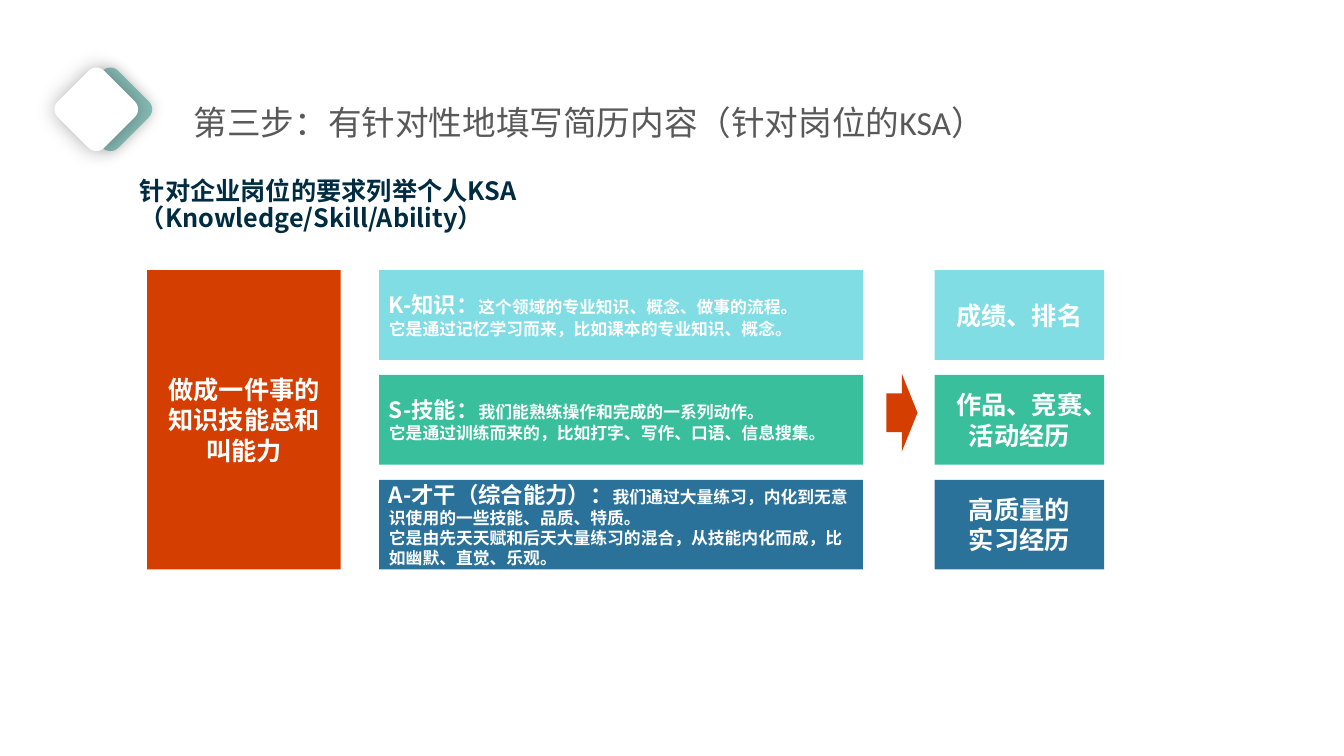
from dataclasses import dataclass
from typing import Optional

from lxml import etree
from pptx import Presentation
from pptx.dml.color import RGBColor
from pptx.enum.shapes import MSO_SHAPE
from pptx.enum.text import MSO_ANCHOR, MSO_AUTO_SIZE, PP_ALIGN
from pptx.oxml.ns import qn
from pptx.util import Inches, Pt

RECTANGLE = MSO_SHAPE.RECTANGLE
ROUNDED = MSO_SHAPE.ROUNDED_RECTANGLE
RIGHT_ARROW = MSO_SHAPE.RIGHT_ARROW
LEFT, CENTER = PP_ALIGN.LEFT, PP_ALIGN.CENTER
TOP, MIDDLE = MSO_ANCHOR.TOP, MSO_ANCHOR.MIDDLE


@dataclass(frozen=True)
class Theme:
    heading_font: str = "Calibri"
    body_font: str = "Noto Sans CJK SC"
    heading: str = "595959"
    subheading: str = "002C42"
    white: str = "FFFFFF"
    badge: str = "86BAB4"
    accent: str = "D43E00"
    title_size: int = 24
    label_size: int = 18
    term_size: int = 16
    detail_size: int = 12


@dataclass(frozen=True)
class Box:
    left: float
    top: float
    width: float
    height: float


@dataclass(frozen=True)
class Column:
    left: float
    width: float


@dataclass(frozen=True)
class Ability:
    color: str
    term: str
    meaning: str
    origin: str
    evidence: tuple[str, ...]


@dataclass(frozen=True)
class Diamond:
    left: float
    color: str
    shadow_blur: int
    shadow_opacity: int


THEME = Theme()

# Grid: three columns, three equal rows
SUMMARY, DEFINITION, EVIDENCE = Column(1.46, 1.92), Column(3.76, 4.8), Column(9.27, 1.68)
ROW_TOP, ROW_HEIGHT, ROW_PITCH = 2.68, 0.89, 1.04

ABILITIES = (
    Ability("80DDE4", "K-知识：", "这个领域的专业知识、概念、做事的流程。",
            "它是通过记忆学习而来，比如课本的专业知识、概念。", ("成绩、排名",)),
    Ability("3ABF9C", "S-技能：", "我们能熟练操作和完成的一系列动作。",
            "它是通过训练而来的，比如打字、写作、口语、信息搜集。", ("作品、竞赛、活动经历",)),
    Ability("2B729A", "A-才干（综合能力）：", "我们通过大量练习，内化到无意识使用的一些技能、品质、特质。",
            "它是由先天天赋和后天大量练习的混合，从技能内化而成，比如幽默、直觉、乐观。",
            ("高质量的", "实习经历")),
)
DIAMONDS = (Diamond(0.77, THEME.badge, 10, 20), Diamond(0.63, THEME.white, 15, 30))


def grid_box(column: Column, row: int, span: int = 1) -> Box:
    height = ROW_HEIGHT + (span - 1) * ROW_PITCH
    return Box(column.left, ROW_TOP + row * ROW_PITCH, column.width, height)


def place(shape, box: Box) -> None:
    shape.left, shape.top = Inches(box.left), Inches(box.top)
    shape.width, shape.height = Inches(box.width), Inches(box.height)


def style_paragraph(paragraph, size: int, color: str, bold: bool = True,
                    font_name: str = THEME.body_font, align=LEFT,
                    spacing: Optional[float] = None) -> None:
    paragraph.alignment = align
    paragraph.line_spacing = spacing
    font = paragraph.font
    font.name, font.size, font.bold = font_name, Pt(size), bold
    font.color.rgb = RGBColor.from_string(color)


def add_block(slide, preset, box: Box, color: str):
    shape = slide.shapes.add_shape(
        preset, Inches(box.left), Inches(box.top), Inches(box.width), Inches(box.height))
    shape.shadow.inherit = False
    shape.fill.solid()
    shape.fill.fore_color.rgb = RGBColor.from_string(color)
    shape.line.fill.background()
    shape.text_frame.word_wrap = True
    shape.text_frame.vertical_anchor = MIDDLE
    return shape


def add_label(slide, box: Box, color: str, lines: tuple[str, ...]) -> None:
    frame = add_block(slide, RECTANGLE, box, color).text_frame
    frame.text = "\n".join(lines)
    for paragraph in frame.paragraphs:
        style_paragraph(paragraph, THEME.label_size, THEME.white, align=CENTER)


def add_definition(slide, box: Box, ability: Ability) -> None:
    frame = add_block(slide, RECTANGLE, box, ability.color).text_frame
    first, second = frame.paragraphs[0], frame.add_paragraph()
    term = first.add_run()
    term.text = ability.term
    term.font.size = Pt(THEME.term_size)
    first.add_run().text = ability.meaning
    second.text = ability.origin
    for paragraph in (first, second):
        style_paragraph(paragraph, THEME.detail_size, THEME.white)


def add_diamond(slide, diamond: Diamond) -> None:
    shape = add_block(slide, ROUNDED, Box(diamond.left, 0.76, 0.65, 0.65), diamond.color)
    shape.rotation = 45
    effects = shape._element.spPr.find(qn("a:effectLst"))
    shadow = etree.SubElement(effects, qn("a:outerShdw"), blurRad=str(Pt(diamond.shadow_blur)),
                              dist="0", dir="0", algn="ctr", rotWithShape="0")
    color = etree.SubElement(shadow, qn("a:srgbClr"), val="000000")
    etree.SubElement(color, qn("a:alpha"), val=str(diamond.shadow_opacity * 1000))


def add_headings(slide) -> None:
    title = slide.shapes.title
    place(title, Box(1.82, 0.76, 9.13, 1.31))
    frame = title.text_frame
    frame.text = "第三步：有针对性地填写简历内容（针对岗位的KSA）"
    frame.word_wrap, frame.vertical_anchor = True, TOP
    frame.auto_size = MSO_AUTO_SIZE.NONE
    style_paragraph(frame.paragraphs[0], THEME.title_size, THEME.heading, bold=False,
                    font_name=THEME.heading_font, spacing=1.5)

    subheading = slide.shapes.add_textbox(0, 0, 0, 0)
    place(subheading, Box(1.29, 1.72, 7.27, 0.37))
    frame = subheading.text_frame
    frame.word_wrap = True
    frame.text = "针对企业岗位的要求列举个人KSA\v（Knowledge/Skill/Ability）"
    style_paragraph(frame.paragraphs[0], THEME.label_size, THEME.subheading, spacing=0.9)


def main() -> None:
    presentation = Presentation()
    presentation.slide_width, presentation.slide_height = Inches(13.33), Inches(7.5)
    slide = presentation.slides.add_slide(presentation.slide_layouts[5])

    # Title, subheading and badge
    add_headings(slide)
    for diamond in DIAMONDS:
        add_diamond(slide, diamond)

    # Summary block, then one row per ability
    add_label(slide, grid_box(SUMMARY, 0, span=3), THEME.accent, ("做成一件事的知识技能总和叫能力",))
    for row, ability in enumerate(ABILITIES):
        add_definition(slide, grid_box(DEFINITION, row), ability)
        add_label(slide, grid_box(EVIDENCE, row), ability.color, ability.evidence)

    # Arrow from definitions to evidence
    add_block(slide, RIGHT_ARROW, Box(8.79, 3.71, 0.31, 0.77), THEME.accent)

    presentation.save("out.pptx")


if __name__ == "__main__":
    main()
